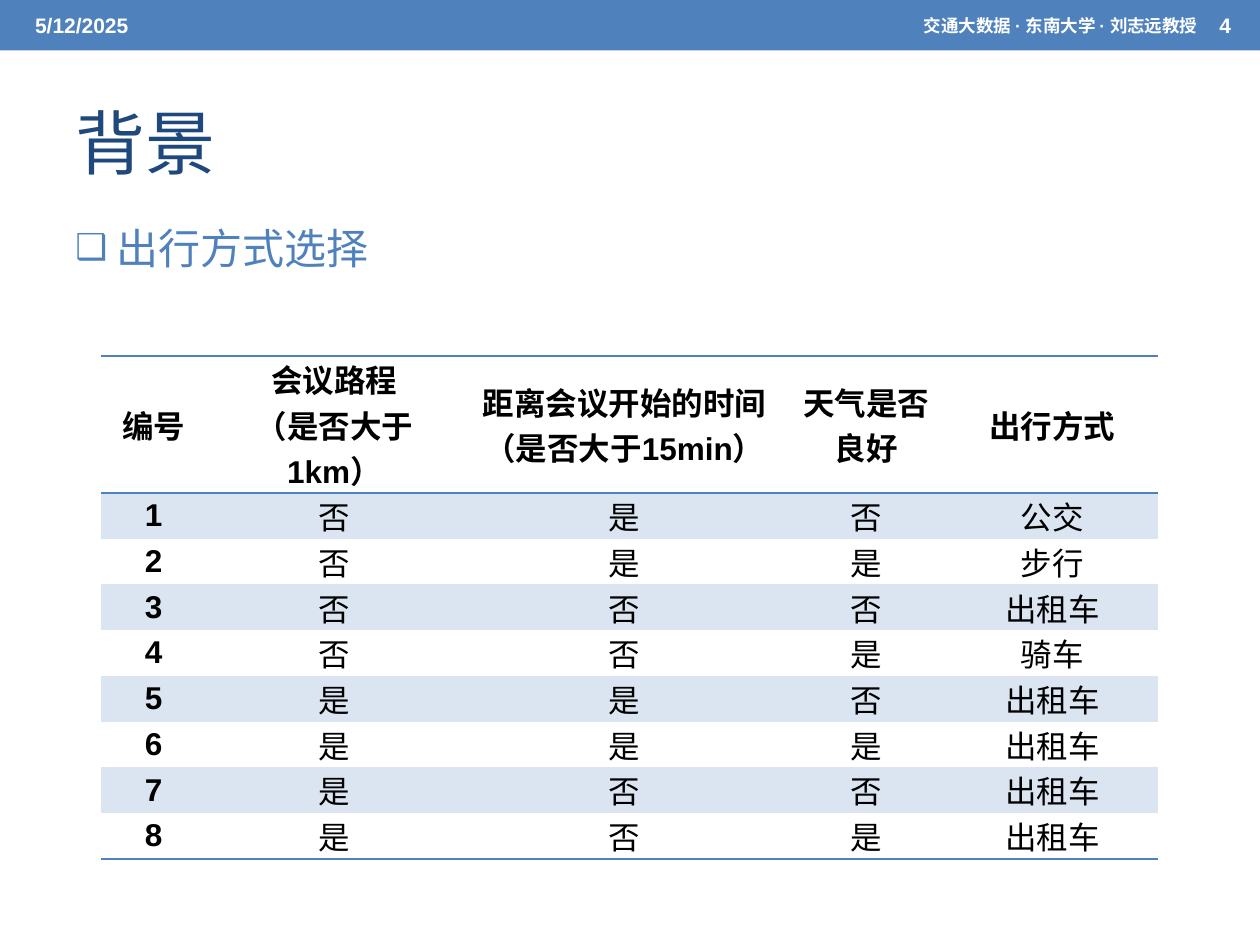
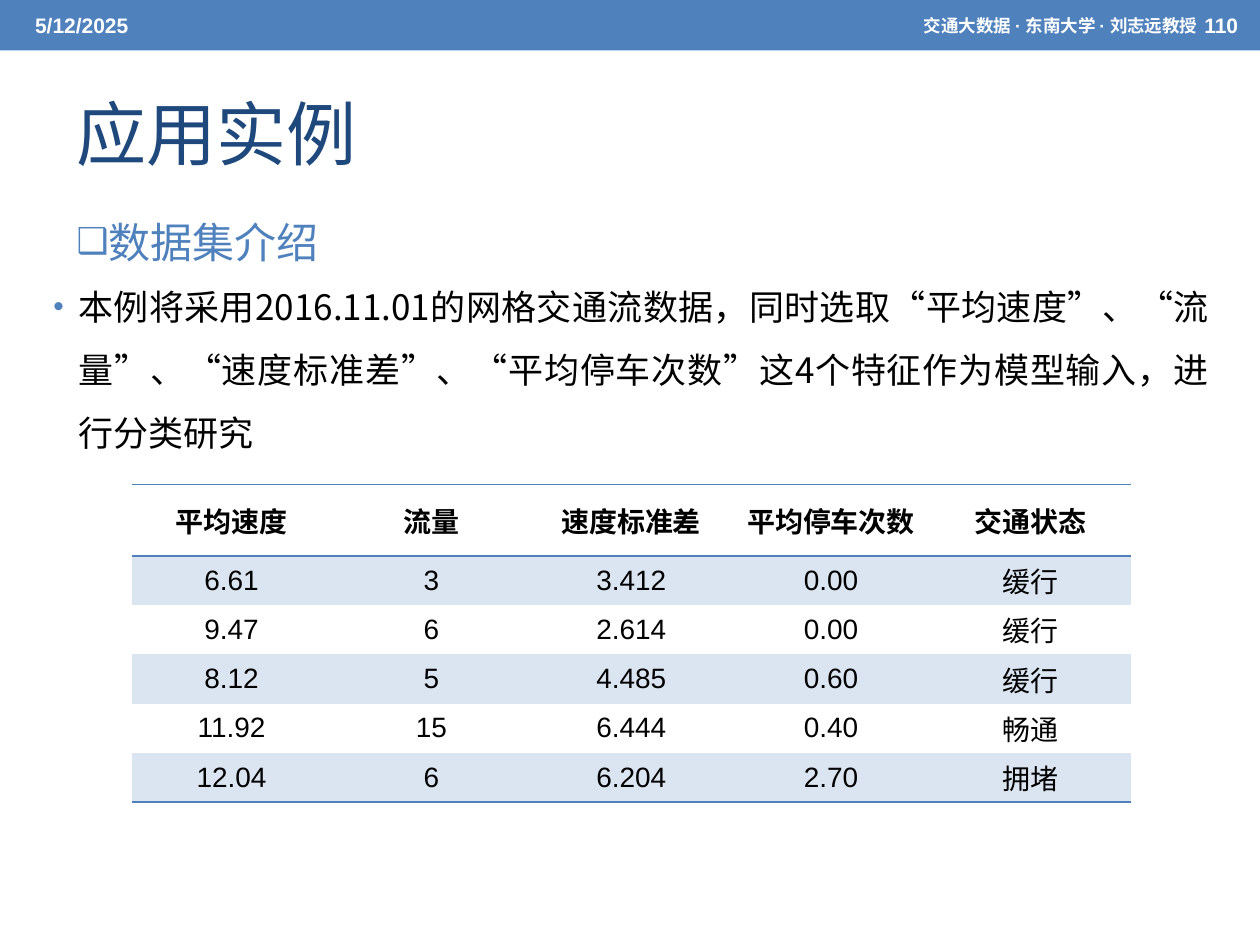
from dataclasses import dataclass
from typing import NamedTuple

from lxml.etree import SubElement
from pptx import Presentation
from pptx.dml.color import RGBColor as RGB
from pptx.enum.lang import MSO_LANGUAGE_ID as LANG
from pptx.enum.shapes import MSO_SHAPE as SHAPE
from pptx.enum.text import MSO_ANCHOR as ANCHOR, PP_ALIGN as ALIGN
from pptx.oxml.ns import qn
from pptx.util import Inches, Pt

COLORS = {"blue": "4F81BD", "navy": "1F497D", "band": "DBE5F1",
          "white": "FFFFFF", "black": "000000"}
CJK = "Noto Sans CJK SC"
WIDTH, HEIGHT = Inches(10), Inches(7.5)
COL, ROW = WIDTH / 100, HEIGHT / 75
PLAIN_TABLE = "{2D5ABB26-0587-4C30-8999-92F81FD0307C}"


class Box(NamedTuple):
    x: float
    y: float
    w: float
    h: float

    def emu(self) -> list[int]:
        return [round(v * unit) for v, unit in zip(self, (COL, ROW, COL, ROW))]


class Style(NamedTuple):
    size: float
    color: str = "black"
    name: str = CJK
    bold: bool = False


class Bullet(NamedTuple):
    char: str
    hang: float


@dataclass
class TextSpec:
    text: str
    box: Box
    style: Style
    align: ALIGN = ALIGN.LEFT
    anchor: ANCHOR = ANCHOR.MIDDLE
    bullet: Bullet | None = None


@dataclass
class TableSpec:
    box: Box
    cols: list[float]
    head_row: float
    body_row: float
    size: float
    body_font: str
    bold_first: bool
    rows: list[list[str]]


TITLE = Style(40, "navy")
SECTION = Style(24, "blue")
BODY = Style(20)
BAND = Style(12, "white", "Arial", True)
BAND_SMALL = BAND._replace(size=10)


def rgb(key: str) -> RGB:
    return RGB.from_string(COLORS[key])


def write(p, text: str, style: Style, align: ALIGN) -> None:
    p.alignment = align
    r = p.add_run()
    r.text = text
    formats = {"size": Pt(style.size), "name": style.name, "bold": style.bold,
               "language_id": LANG.SIMPLIFIED_CHINESE}
    for key, value in formats.items():
        setattr(r.font, key, value)
    r.font.color.rgb = rgb(style.color)
    SubElement(r.font._element, qn("a:ea"), typeface=CJK)


def add_bullet(p, bullet: Bullet) -> None:
    p.line_spacing = 1.5
    pPr = p._p.get_or_add_pPr()
    hang = round(bullet.hang * COL)
    formats = {"marL": str(hang), "indent": str(-hang), "hangingPunct": "0"}
    for key, value in formats.items():
        pPr.set(key, value)
    clr = SubElement(pPr, qn("a:buClr"))
    SubElement(clr, qn("a:srgbClr"), val=COLORS["blue"])
    SubElement(pPr, qn("a:buSzPct"), val="85000")
    SubElement(pPr, qn("a:buFont"), typeface="Arial")
    SubElement(pPr, qn("a:buChar"), char=bullet.char)


def add_text(s, spec: TextSpec) -> None:
    tf = s.shapes.add_textbox(*spec.box.emu()).text_frame
    tf.word_wrap = True
    tf.vertical_anchor = spec.anchor
    p = tf.paragraphs[0]
    if spec.bullet:
        add_bullet(p, spec.bullet)
    write(p, spec.text, spec.style, spec.align)


def add_borders(cell, sides: list[str]) -> None:
    tcPr = cell._tc.get_or_add_tcPr()
    for i, side in enumerate(sides):
        ln = tcPr.makeelement(qn(f"a:{side}"), {"w": str(Pt(1))})
        fill = SubElement(ln, qn("a:solidFill"))
        SubElement(fill, qn("a:srgbClr"), val=COLORS["blue"])
        tcPr.insert(i, ln)


def add_table(s, spec: TableSpec) -> None:
    last = len(spec.rows) - 1
    table = s.shapes.add_table(last + 1, len(spec.cols), *spec.box.emu()).table
    table.first_row = table.horz_banding = False
    table._tbl.tblPr.find(qn("a:tableStyleId")).text = PLAIN_TABLE
    for col, width in zip(table.columns, spec.cols):
        col.width = round(width * COL)
    for i, values in enumerate(spec.rows):
        table.rows[i].height = round((spec.body_row if i else spec.head_row) * ROW)
        for j, value in enumerate(values):
            cell = table.cell(i, j)
            margin = Inches(0.07)
            formats = {"margin_left": margin, "margin_right": margin, "margin_top": 0,
                       "margin_bottom": 0, "vertical_anchor": ANCHOR.MIDDLE}
            for key, val in formats.items():
                setattr(cell, key, val)
            bold = i == 0 or (j == 0 and spec.bold_first)
            style = Style(spec.size, name="Arial" if bold else spec.body_font, bold=bold)
            tf = cell.text_frame
            for k, line in enumerate(value.split("\n")):
                write(tf.add_paragraph() if k else tf.paragraphs[0],
                      line, style, ALIGN.CENTER)
            if i % 2:
                cell.fill.solid()
                cell.fill.fore_color.rgb = rgb("band")
            else:
                cell.fill.background()
            add_borders(cell, ["lnT", "lnB"] if i == 0 else ["lnB"] if i == last else [])


def add_slide(prs, number: str, number_x: float, texts: list[TextSpec],
              table: TableSpec) -> None:
    s = prs.slides.add_slide(prs.slide_layouts[6])
    sp = s.shapes.add_shape(SHAPE.RECTANGLE, *Box(0, 0, 100, 4).emu())
    sp.shadow.inherit = False
    sp.fill.solid()
    sp.fill.fore_color.rgb = rgb("blue")
    sp.line.fill.background()
    band = [
        TextSpec("5/12/2025", Box(1.8, 0.2, 31.7, 3.6), BAND),
        TextSpec("交通大数据 · 东南大学 · 刘志远教授", Box(43.2, 0.2, 52.8, 3.6),
                 BAND_SMALL, ALIGN.RIGHT),
        TextSpec(number, Box(number_x, 0.2, 100 - number_x, 3.6), BAND),
    ]
    for spec in band + texts:
        add_text(s, spec)
    add_table(s, table)


def main() -> None:
    prs = Presentation()
    prs.slide_width, prs.slide_height = WIDTH, HEIGHT

    modes = ["否是否公交", "否是是步行", "否否否出租车", "否否是骑车",
             "是是否出租车", "是是是出租车", "是否否出租车", "是否是出租车"]
    mode_rows = [["编号", "会议路程\n（是否大于1km）", "距离会议开始的时间（是否大于15min）",
                  "天气是否良好", "出行方式"]]
    mode_rows += [[str(n), *mode[:3], mode[3:]] for n, mode in enumerate(modes, 1)]
    add_slide(
        prs, "4", 95.8,
        [TextSpec("背景", Box(5, 5.8, 90, 10.8), TITLE),
         TextSpec("出行方式选择", Box(5, 15.15, 30, 7.1), SECTION,
                  anchor=ANCHOR.TOP, bullet=Bullet("❑", 3.3))],
        TableSpec(Box(8, 28.25, 83.9, 39.9), [8.4, 20.3, 25.7, 12.75, 16.75],
                  10.87, 3.63, 18, CJK, True, mode_rows))

    traffic_rows = [
        ["平均速度", "流量", "速度标准差", "平均停车次数", "交通状态"],
        ["6.61", "3", "3.412", "0.00", "缓行"],
        ["9.47", "6", "2.614", "0.00", "缓行"],
        ["8.12", "5", "4.485", "0.60", "缓行"],
        ["11.92", "15", "6.444", "0.40", "畅通"],
        ["12.04", "6", "6.204", "2.70", "拥堵"],
    ]
    add_slide(
        prs, "110", 94.6,
        [TextSpec("应用实例", Box(5.1, 5.1, 90, 10.8), TITLE),
         TextSpec("本例将采用2016.11.01的网格交通流数据，同时选取“平均速度”、“流量”、"
                  "“速度标准差”、“平均停车次数”这4个特征作为模型输入，进行分类研究",
                  Box(3.25, 20.5, 93.65, 48.7), BODY, ALIGN.JUSTIFY, ANCHOR.TOP,
                  Bullet("•", 2)),
         TextSpec("数据集介绍", Box(5.1, 14.65, 79.7, 7.1), SECTION,
                  anchor=ANCHOR.TOP, bullet=Bullet("❑", 2.5))],
        TableSpec(Box(10.45, 38.47, 79.3, 25.2), [79.3 / 5] * 5,
                  5.65, 3.91, 16, "Arial", False, traffic_rows))

    prs.save("out.pptx")


if __name__ == "__main__":
    main()
